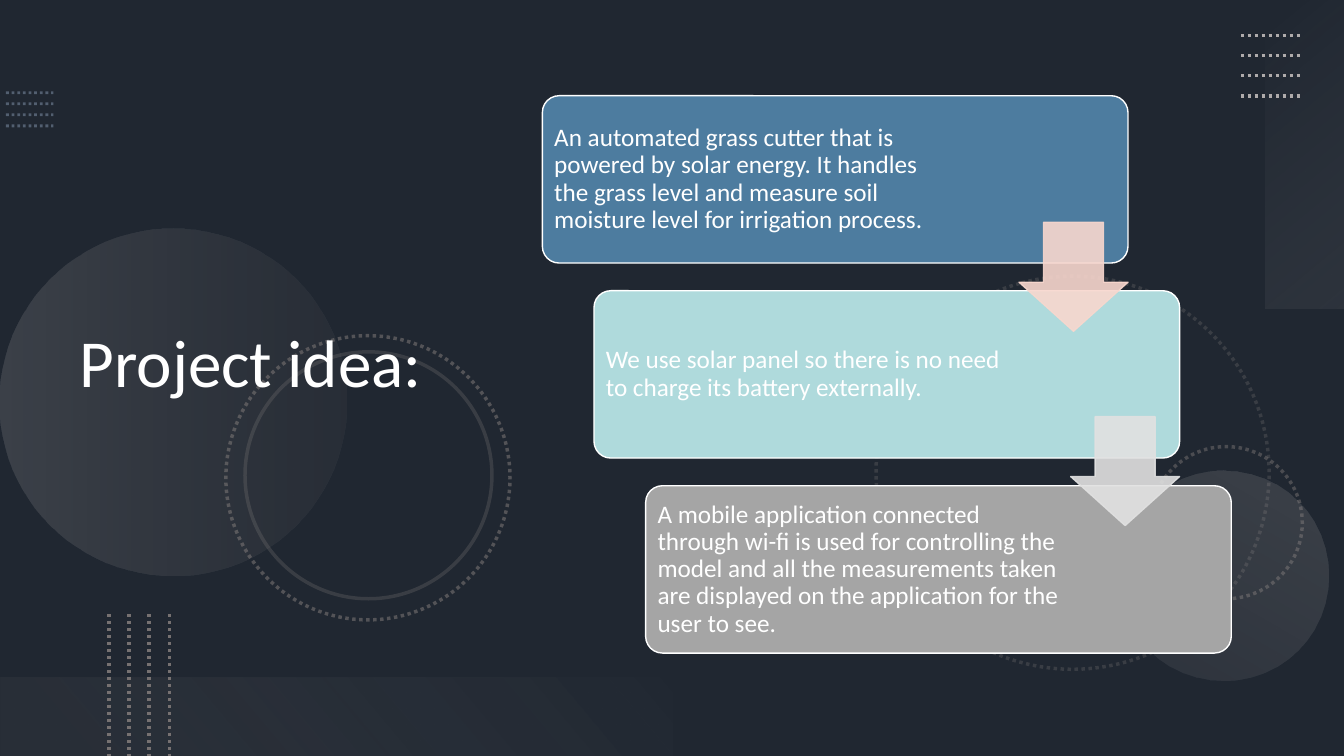
"""Build the project idea slide: three stepped cards on a dark, dotted ground."""
from lxml import etree
from pptx import Presentation
from pptx.dml.color import RGBColor
from pptx.enum.dml import MSO_LINE
from pptx.enum.shapes import MSO_CONNECTOR, MSO_SHAPE
from pptx.enum.text import MSO_ANCHOR, PP_ALIGN
from pptx.oxml.ns import qn
from pptx.util import Pt

RECT = MSO_SHAPE.RECTANGLE
ROUND = MSO_SHAPE.ROUNDED_RECTANGLE
OVAL = MSO_SHAPE.OVAL
DOWN = MSO_SHAPE.DOWN_ARROW
LINE = MSO_CONNECTOR.STRAIGHT
DOTS = MSO_LINE.ROUND_DOT
MID = MSO_ANCHOR.MIDDLE
LEFT = PP_ALIGN.LEFT

HUES = {
    "base": "44546A", "shade": "000000", "white": "FFFFFF", "slate": "8497B0",
    "gray": "767171", "silver": "AFABAB", "mist": "F5F5F5", "pale": "F1F0F0",
    "blue": "4D7C9F", "aqua": "AFDADC", "stone": "A5A5A5",
    "blush": "F8D7CE", "ash": "E1E1E1",
}
FONT = "Calibri"

CARDS = [
    ("blue", 127.5, "An automated grass cutter that is powered by solar energy. "
     "It handles the grass level and measure soil moisture level for irrigation process."),
    ("aqua", 120, "We use solar panel so there is no need to charge its battery externally."),
    ("stone", 120, "A mobile application connected through wi-fi is used for controlling "
     "the model and all the measurements taken are displayed on the application "
     "for the user to see."),
]


def hue(name):
    """Return the named colour."""
    return RGBColor.from_string(HUES[name])


def put(thing, form):
    """Set each attribute listed in a dict of format values."""
    for key, value in form.items():
        setattr(thing, key, value)


def fade(shape, *rates):
    """Give the colours of a shape, in order, their opacity in percent."""
    for node, rate in zip(shape.element.spPr.iter(qn("a:srgbClr")), rates):
        etree.SubElement(node, qn("a:alpha")).set("val", str(rate * 1000))


class Deck:
    """Hold the style and the current slide."""

    def __init__(self):
        """Open a wide deck with one titled slide."""
        self.show = Presentation()
        put(self.show, {"slide_width": Pt(960), "slide_height": Pt(540)})
        self.slide = self.show.slides.add_slide(self.show.slide_layouts[5])
        self.shapes = self.slide.shapes
        fill = self.slide.background.fill
        fill.solid()
        fill.fore_color.rgb = hue("base")

    def edge(self, line, color, width, dash=None):
        """Format an outline or a rule."""
        line.fill.solid()
        line.fill.fore_color.rgb = hue(color)
        put(line, {"width": Pt(width), "dash_style": dash})

    def form(self, kind, box, fill=None, line=None, turn=0, adjust=()):
        """Add a preset shape with an optional fill and outline."""
        shape = self.shapes.add_shape(kind, *map(Pt, box))
        shape.shadow.inherit = False
        shape.rotation = turn
        for i, value in enumerate(adjust):
            shape.adjustments[i] = value
        if fill:
            shape.fill.solid()
            shape.fill.fore_color.rgb = hue(fill)
        else:
            shape.fill.background()
        if line:
            self.edge(shape.line, *line)
        else:
            shape.line.fill.background()
        return shape

    def blend(self, kind, box, stops, angle, turn):
        """Add a shape with a sheer two-stop gradient."""
        shape = self.form(kind, box, turn=turn)
        shape.fill.gradient()
        shape.fill.gradient_angle = 360 - angle
        for stop, (place, color, rate) in zip(shape.fill.gradient_stops, stops):
            stop.position = place
            stop.color.rgb = hue(color)
        fade(shape, *[rate for place, color, rate in stops])

    def rule(self, ends, color, width, rate=100):
        """Add a dotted straight line."""
        line = self.shapes.add_connector(LINE, *map(Pt, ends))
        self.edge(line.line, color, width, DOTS)
        etree.SubElement(line.element.spPr, qn("a:effectLst"))
        fade(line, rate)

    def text(self, shape, words, size, frame):
        """Fill a shape with one white paragraph."""
        put(shape.text_frame, {"word_wrap": True, "vertical_anchor": MID, **frame})
        shape.text_frame.text = words
        para = shape.text_frame.paragraphs[0]
        put(para, {"alignment": LEFT, "line_spacing": 0.9})
        put(para.font, {"name": FONT, "size": Pt(size)})
        para.font.color.rgb = hue("white")

    def title(self, words, box):
        """Place the title in front of the shapes drawn so far."""
        title = self.shapes.title
        title.element.getparent().append(title.element)
        put(title, dict(zip(("left", "top", "width", "height"), map(Pt, box))))
        self.text(title, words, 48, {})

    def card(self, box, color, inset, words):
        """Add a rounded card that keeps its right side free."""
        card = self.form(ROUND, box, color, ("white", 1), adjust=(0.1,))
        edges = {"margin_left": Pt(5), "margin_right": Pt(inset),
                 "margin_top": Pt(5), "margin_bottom": Pt(5)}
        self.text(card, words, 18, edges)

    def arrow(self, box, color):
        """Add a sheer arrow that points down."""
        arrow = self.form(DOWN, box, color, (color, 1), adjust=(0.55, 0.45))
        fade(arrow, 90, 90)


def main():
    """Draw the slide and save it."""
    deck = Deck()
    fade(deck.form(RECT, (0, 0, 960, 540), "shade"), 53)
    for i in range(4):
        y = 66.2 + 7.9 * i
        deck.rule((4.3, y, 38.2, y), "slate", 2, 50)

    for x, y, size, turn, dash, rate in [
        (625.7, 197.3, 280.8, 75, DOTS, 30),
        (821.5, 319, 108.7, 270, DOTS, 50),
        (161.3, 239.8, 203, 75, DOTS, 60),
        (175, 251.3, 176.4, 75, None, 30),
    ]:
        ring = deck.form(OVAL, (x, y, size, size), None, ("gray", 2.5, dash), turn)
        fade(ring, rate)

    for kind, box, stops, angle, turn in [
        (OVAL, (0, 163.4, 247.7, 247.7),
         [(0, "silver", 20), (1, "gray", 10)], 90, 270),
        (OVAL, (799.2, 336.2, 149.8, 149.8),
         [(0, "silver", 10), (1, "silver", 20)], 90, 210),
        (RECT, (822.2, 82.1, 220.3, 56.2),
         [(0, "mist", 0), (1, "silver", 10)], 140, 270),
        (RECT, (0, 483.8, 480.2, 56.2),
         [(0.1, "gray", 10), (1, "pale", 0)], 140, 180),
    ]:
        deck.blend(kind, box, stops, angle, turn)

    for i in range(4):
        x, y = 77.8 + 14.4 * i, 25.2 + 14.4 * i
        deck.rule((886.3, y, 929.5, y), "silver", 2.5)
        deck.rule((x, 438.5, x, 540), "gray", 2.5)

    deck.title("Project idea:", (49.7, 38.9, 330.5, 444.2))
    for i, (color, inset, words) in enumerate(CARDS):
        box = (387.4 + 36.9 * i, 68.4 + 139.3 * i, 418.3, 119.5)
        deck.card(box, color, inset, words)
    for i, color in enumerate(("blush", "ash")):
        deck.arrow((727.9 + 36.9 * i, 158.8 + 138.8 * i, 77.8, 77.8), color)
    deck.show.save("out.pptx")


if __name__ == "__main__":
    main()
